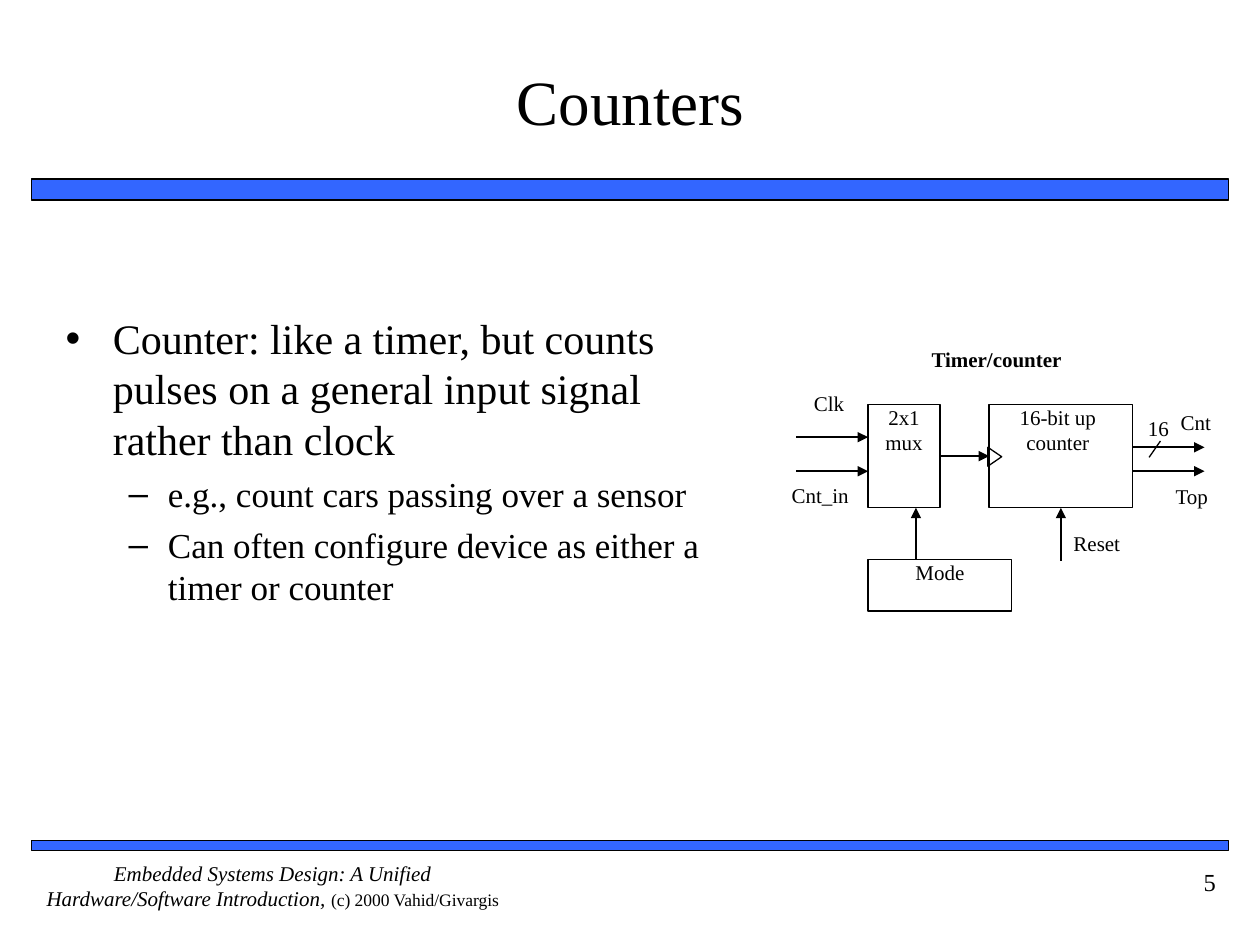
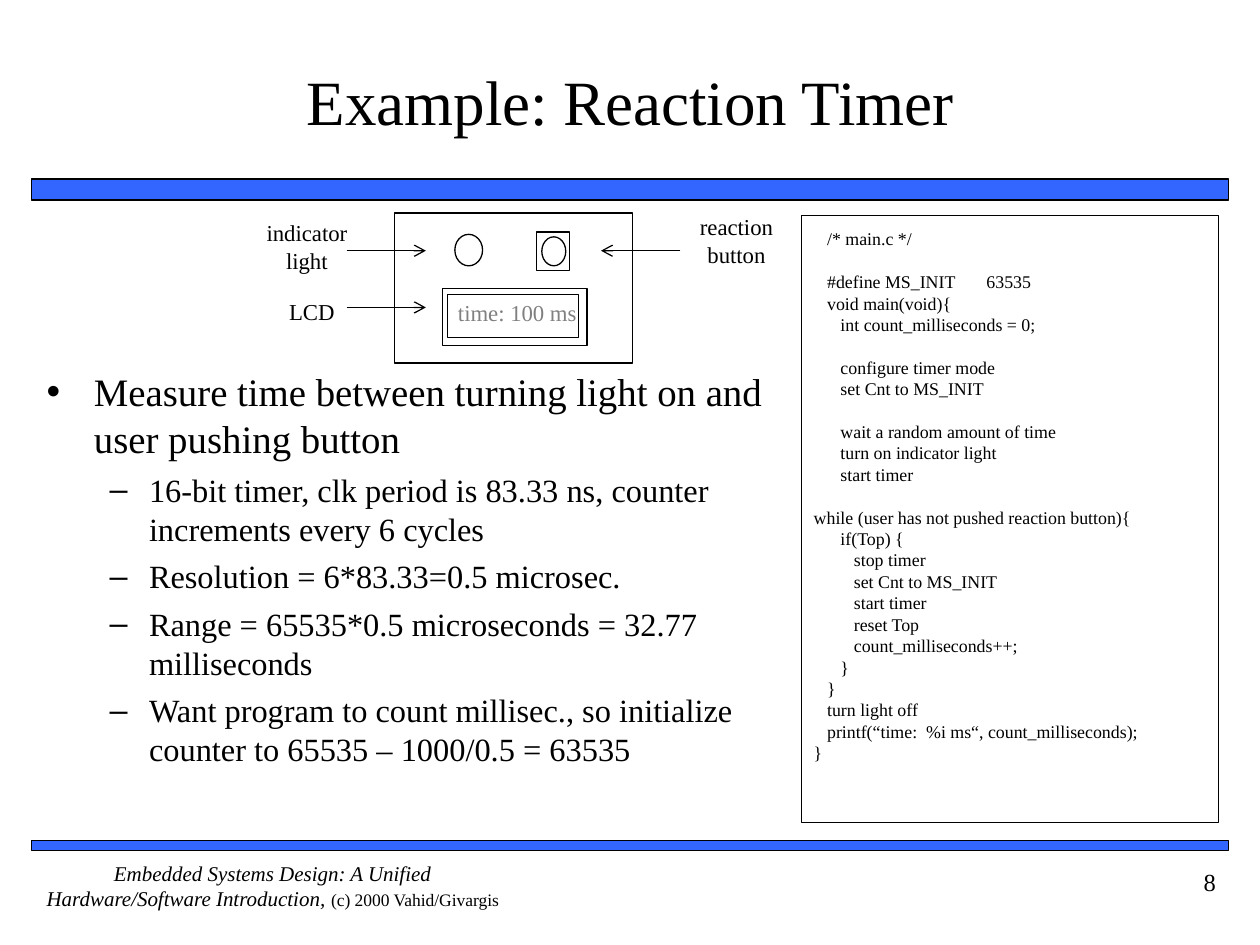
from dataclasses import dataclass

from lxml import etree
from pptx import Presentation
from pptx.dml.color import RGBColor
from pptx.enum.shapes import MSO_CONNECTOR, MSO_SHAPE
from pptx.enum.text import MSO_ANCHOR, MSO_AUTO_SIZE, PP_ALIGN
from pptx.oxml.ns import qn
from pptx.util import Inches, Pt

RECTANGLE, OVAL, TRIANGLE = MSO_SHAPE.RECTANGLE, MSO_SHAPE.OVAL, MSO_SHAPE.ISOSCELES_TRIANGLE
LEFT, CENTER, RIGHT = PP_ALIGN.LEFT, PP_ALIGN.CENTER, PP_ALIGN.RIGHT
SIDE_LEFT, SIDE_BOTTOM, SIDE_RIGHT = 1, 2, 3


@dataclass(frozen=True)
class Theme:
    font: str = "Times New Roman"
    ink: RGBColor = RGBColor(0x00, 0x00, 0x00)
    band: RGBColor = RGBColor(0x33, 0x66, 0xFF)
    paper: RGBColor = RGBColor(0xFF, 0xFF, 0xFF)
    display: RGBColor = RGBColor(0x80, 0x80, 0x80)
    title: float = 36
    diagram: float = 12
    device: float = 13
    code: float = 10.2
    footer: float = 12
    copyright: float = 10
    number: float = 14
    thin: float = 0.75
    thick: float = 1


THEME = Theme()
TITLE_PLACE = (0.42, 0.17, 9.17, 1.25)
BANDS = [(0.25, 1.42, 9.5, 0.17), (0.25, 6.67, 9.5, 0.08)]
FOOTER_PLACE = (0.25, 6.83, 3.83, 0.5)
NUMBER_PLACE = (8.75, 6.83, 1, 0.5)
BODY_INSETS = (0.1, 0.05, 0.1, 0.05)
BOOK = "Embedded Systems Design: A Unified Hardware/Software Introduction, "
COPYRIGHT = "(c) 2000 Vahid/Givargis"

COUNTERS = {
    "title": "Counters",
    "number": "5",
    "place": (0.42, 2.43, 5.59, 3.86),
    "sizes": (24, 20),
    "bullets": [
        (0, "Counter: like a timer, but counts pulses on a general input signal rather than clock"),
        (1, "e.g., count cars passing over a sensor"),
        (1, "Can often configure device as either a timer or counter"),
    ],
}
REACTION_TIMER = {
    "title": "Example: Reaction Timer",
    "number": "8",
    "place": (0.27, 2.87, 5.99, 3.3),
    "sizes": (22.2, 18.5),
    "bullets": [
        (0, "Measure time between turning light on and user pushing button"),
        (1, "16-bit timer, clk period is 83.33 ns, counter increments every 6 cycles"),
        (1, "Resolution = 6*83.33=0.5 microsec."),
        (1, "Range = 65535*0.5 microseconds = 32.77 milliseconds"),
        (1, "Want program to count millisec., so initialize counter to 65535 – 1000/0.5 = 63535"),
    ],
}

SIGNAL_LABELS = [
    ("Clk", (6.27, 3.1, 0.62, 0.28), CENTER),
    ("Cnt_in", (6.13, 3.83, 0.76, 0.31), CENTER),
    ("16", (9.11, 3.3, 0.25, 0.31), LEFT),
    ("Cnt", (9.37, 3.25, 0.43, 0.3), LEFT),
    ("Top", (9.33, 3.84, 0.43, 0.28), LEFT),
    ("Reset", (8.52, 4.21, 0.73, 0.26), LEFT),
]
SIGNAL_ARROWS = [
    ((6.32, 3.47), (6.89, 3.47)),
    ((6.32, 3.74), (6.89, 3.74)),
    ((8.99, 3.55), (9.56, 3.55)),
    ((8.99, 3.74), (9.56, 3.74)),
    ((7.27, 4.44), (7.27, 4.03)),
]

DEVICE_PARTS = [
    (RECTANGLE, (3.13, 1.69, 1.89, 1.19), None),
    (OVAL, (3.61, 1.86, 0.22, 0.25), THEME.paper),
    (RECTANGLE, (4.26, 1.84, 0.26, 0.31), None),
    (OVAL, (4.3, 1.88, 0.19, 0.23), None),
    (RECTANGLE, (3.51, 2.29, 1.15, 0.45), None),
    (RECTANGLE, (3.55, 2.34, 1.04, 0.34), None),
]
DEVICE_LABELS = [
    ("indicator light", (2.08, 1.74, 0.71, 0.47), THEME.ink),
    ("reaction button", (5.53, 1.69, 0.63, 0.45), THEME.ink),
    ("LCD", (2.29, 2.36, 0.37, 0.25), THEME.ink),
    ("time: 100 ms", (3.59, 2.37, 1.03, 0.28), THEME.display),
]
DEVICE_ARROWS = [
    ((2.75, 1.99), (3.38, 1.99)),
    ((2.75, 2.44), (3.38, 2.44)),
    ((5.4, 1.99), (4.77, 1.99)),
]

CODE_PLACE = (6.36, 1.71, 3.31, 4.82)
CODE_GAP = 12.2
CODE_BLOCKS = [
    ["   /* main.c */"],
    ["   #define MS_INIT       63535",
     "   void main(void){",
     "      int count_milliseconds = 0;"],
    ["      configure timer mode",
     "      set Cnt to MS_INIT"],
    ["      wait a random amount of time",
     "      turn on indicator light",
     "      start timer"],
    ["while (user has not pushed reaction button){",
     "      if(Top) {",
     "         stop timer",
     "         set Cnt to MS_INIT",
     "         start timer",
     "         reset Top",
     "         count_milliseconds++;",
     "      }",
     "   }",
     "   turn light off",
     "   printf(“time:  %i ms“, count_milliseconds);",
     "}"],
]


def inches(values):
    return [Inches(value) for value in values]


def style(font, size, color=THEME.ink):
    font.name = THEME.font
    font.size = Pt(size)
    font.color.rgb = color


def prepare_frame(box, insets=(0, 0, 0, 0), anchor=MSO_ANCHOR.TOP):
    frame = box.text_frame
    frame.word_wrap = True
    frame.auto_size = MSO_AUTO_SIZE.NONE
    frame.vertical_anchor = anchor
    frame.margin_left, frame.margin_top, frame.margin_right, frame.margin_bottom = inches(insets)
    return frame


def write(box, text, size, align=CENTER, color=THEME.ink, **frame_options):
    para = prepare_frame(box, **frame_options).paragraphs[0]
    para.text = text
    para.alignment = align
    style(para.font, size, color)
    return para


def add_label(page, text, place, size, align=CENTER, **options):
    return write(page.shapes.add_textbox(*inches(place)), text, size, align, **options)


def add_outline(page, kind, place, fill=None, width=THEME.thin):
    shape = page.shapes.add_shape(kind, *inches(place))
    shape.shadow.inherit = False
    if fill is None:
        shape.fill.background()
    else:
        shape.fill.solid()
        shape.fill.fore_color.rgb = fill
    shape.line.color.rgb = THEME.ink
    shape.line.width = Pt(width)
    return shape


def add_block(page, text, place, **options):
    block = add_outline(page, RECTANGLE, place)
    write(block, text, THEME.diagram, **options)
    return block


def add_line(page, start, end, width, head=None):
    line = page.shapes.add_connector(MSO_CONNECTOR.STRAIGHT, *inches(start + end))
    line.line.color.rgb = THEME.ink
    line.line.width = Pt(width)
    properties = line.element.spPr
    if head:
        etree.SubElement(properties.find(qn("a:ln")), qn("a:tailEnd"), type=head)
    etree.SubElement(properties, qn("a:effectLst"))
    return line


def move_to(shape, place):
    shape.left, shape.top, shape.width, shape.height = inches(place)


def add_page(deck, content):
    """Add a slide with its title, bullet list and page number."""
    page = deck.slides.add_slide(deck.slide_layouts[1])
    title, body = page.placeholders
    move_to(title, TITLE_PLACE)
    write(title, content["title"], THEME.title,
          insets=(0, 0.05, 0, 0.05), anchor=MSO_ANCHOR.MIDDLE)
    move_to(body, content["place"])
    frame = prepare_frame(body, BODY_INSETS)
    for index, (level, text) in enumerate(content["bullets"]):
        para = frame.paragraphs[0] if index == 0 else frame.add_paragraph()
        para.text = text
        para.level = level
        para.space_before = Pt(5 if index else 0)
        style(para.font, content["sizes"][level])
    add_label(page, content["number"], NUMBER_PLACE, THEME.number, RIGHT, insets=BODY_INSETS)
    return page


def share_bands_and_footer(page):
    """Draw the common parts and hand them to the layout, so every slide shows them."""
    shared = [add_outline(page, RECTANGLE, place, THEME.band, THEME.thick) for place in BANDS]
    footer = page.shapes.add_textbox(*inches(FOOTER_PLACE))
    para = write(footer, BOOK, THEME.footer)
    para.runs[0].font.italic = True
    span = para.add_run()
    span.text = COPYRIGHT
    style(span.font, THEME.copyright)
    for shape in shared + [footer]:
        page.slide_layout.shapes.element.append(shape.element)


def draw_timer_counter(page):
    heading = add_label(page, "Timer/counter", (7.09, 2.75, 1.64, 0.27), THEME.diagram)
    heading.font.bold = True
    counter = add_block(page, "16-bit up counter", (7.85, 3.21, 1.14, 0.82),
                        insets=(0, 0, 0.05, 0))
    mux = add_block(page, "2x1 mux", (6.89, 3.21, 0.57, 0.82))
    add_block(page, "Mode", (6.89, 4.44, 1.14, 0.41))
    clock_input = add_outline(page, TRIANGLE, (7.82, 3.57, 0.15, 0.11))
    clock_input.rotation = 90
    for start, end in SIGNAL_ARROWS:
        add_line(page, start, end, THEME.thick, "triangle")
    count = add_line(page, (7.46, 3.62), (7.85, 3.62), THEME.thick, "triangle")
    count.begin_connect(mux, SIDE_RIGHT)
    count.end_connect(counter, SIDE_LEFT)
    reset = add_line(page, (8.42, 4.45), (8.42, 4.03), THEME.thick, "triangle")
    reset.end_connect(counter, SIDE_BOTTOM)
    add_line(page, (9.21, 3.5), (9.12, 3.63), THEME.thin)
    for text, place, align in SIGNAL_LABELS:
        add_label(page, text, place, THEME.diagram, align)


def draw_reaction_device(page):
    for kind, place, fill in DEVICE_PARTS:
        add_outline(page, kind, place, fill)
    for start, end in DEVICE_ARROWS:
        add_line(page, start, end, THEME.thin, "arrow")
    for text, place, color in DEVICE_LABELS:
        add_label(page, text, place, THEME.device, color=color)


def draw_code(page):
    frame = prepare_frame(add_outline(page, RECTANGLE, CODE_PLACE), (0.1, 0.1, 0.1, 0.1))
    for block_index, block in enumerate(CODE_BLOCKS):
        for line_index, text in enumerate(block):
            first = block_index == line_index == 0
            para = frame.paragraphs[0] if first else frame.add_paragraph()
            para.text = text
            para.alignment = LEFT
            if line_index == 0 and not first:
                para.space_before = Pt(CODE_GAP)
            style(para.font, THEME.code)


def main():
    deck = Presentation()
    deck.slide_width, deck.slide_height = Inches(10), Inches(7.5)
    counters = add_page(deck, COUNTERS)
    share_bands_and_footer(counters)
    draw_timer_counter(counters)
    reaction_timer = add_page(deck, REACTION_TIMER)
    draw_reaction_device(reaction_timer)
    draw_code(reaction_timer)
    deck.save("out.pptx")


if __name__ == "__main__":
    main()
